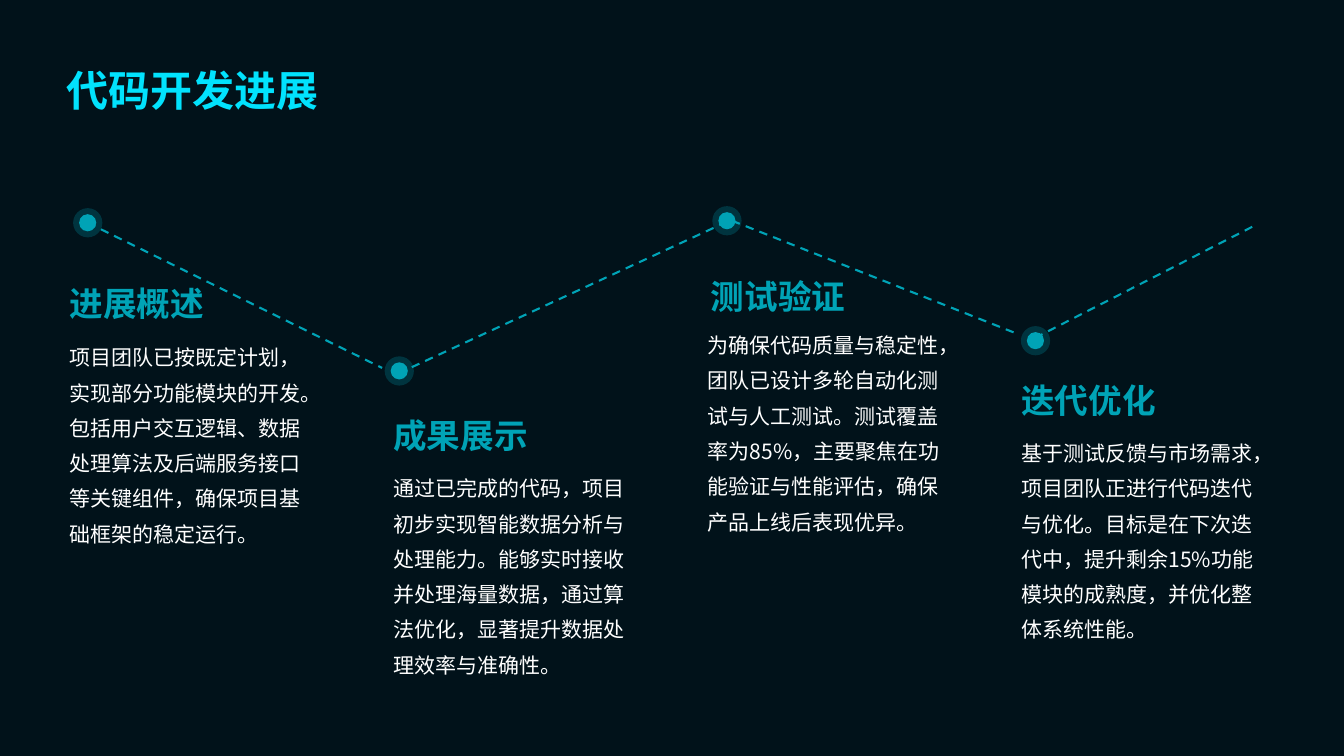
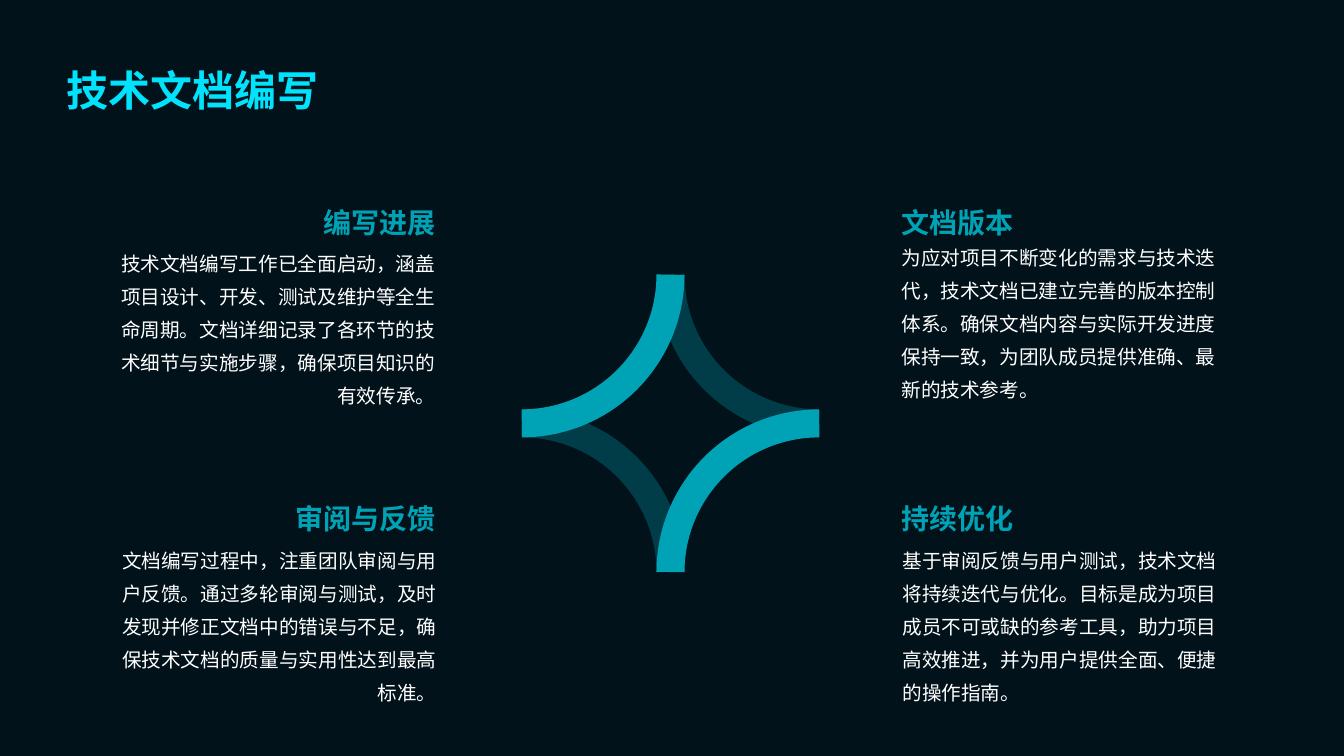
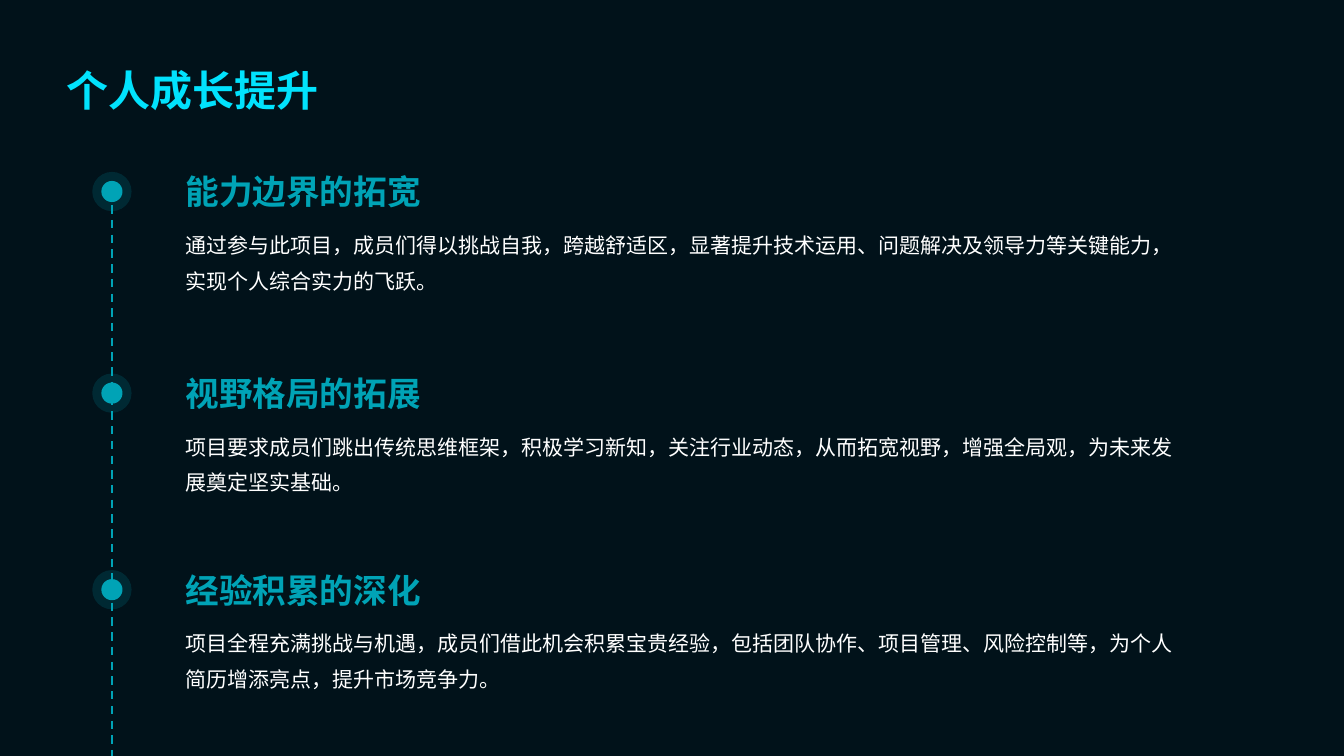
from lxml.etree import SubElement
from pptx import Presentation
from pptx.dml.color import RGBColor
from pptx.enum.dml import MSO_LINE
from pptx.enum.shapes import MSO_CONNECTOR, MSO_SHAPE
from pptx.enum.text import MSO_ANCHOR as ANCHOR, PP_ALIGN as ALIGN
from pptx.oxml.ns import qn
from pptx.util import Inches, Pt

FONT = "Noto Sans CJK SC"
NIGHT, TEAL, CYAN, WHITE = "01121A", "00A3B6", "01E2FD", "FFFFFF"
WIDE_INSETS = (0.14, 0.14, 0.06, 0.14)
SLIM_INSETS = (0.07, 0.04, 0.07, 0.04)
NO_INSETS = (0, 0, 0, 0)


def paint(color_format, hex_color):
    color_format.rgb = RGBColor.from_string(hex_color)


def set_opacity(shape, percent):
    for color in shape._element.spPr.iter(qn("a:srgbClr")):
        SubElement(color, qn("a:alpha"), val=str(percent * 1000))


def add_text(slide, box, text, size, color, spacing, insets, bold=False,
             anchor=ANCHOR.TOP, align=ALIGN.LEFT):
    frame = slide.shapes.add_textbox(*map(Inches, box)).text_frame
    frame.word_wrap = True
    frame.vertical_anchor = anchor
    (frame.margin_left, frame.margin_top,
     frame.margin_right, frame.margin_bottom) = map(Inches, insets)
    paragraph = frame.paragraphs[0]
    paragraph.text = text
    paragraph.alignment = align
    paragraph.line_spacing = spacing
    font = paragraph.font
    font.size, font.bold, font.name = Pt(size), bold, FONT
    paint(font.color, color)
    SubElement(font._rPr, qn("a:ea"), typeface=FONT)


def add_heading(slide, box, text, insets, size=24, spacing=1.2,
                anchor=ANCHOR.BOTTOM, align=ALIGN.LEFT):
    add_text(slide, box, text, size, TEAL, spacing, insets, True, anchor, align)


def add_body(slide, box, text, insets, size=15, align=ALIGN.LEFT):
    add_text(slide, box, text, size, WHITE, 1.4, insets, align=align)


def add_disc(slide, center_x, center_y, diameter, opacity=100):
    disc = slide.shapes.add_shape(
        MSO_SHAPE.OVAL, Inches(center_x - diameter / 2),
        Inches(center_y - diameter / 2), Inches(diameter), Inches(diameter))
    disc.shadow.inherit = False
    disc.fill.solid()
    paint(disc.fill.fore_color, TEAL)
    disc.line.fill.background()
    if opacity < 100:
        set_opacity(disc, opacity)


def add_node(slide, x, y, halo, dot, opacity):
    add_disc(slide, x, y, halo, opacity)
    add_disc(slide, x, y, dot)


def add_dashes(slide, start, end):
    connector = slide.shapes.add_connector(
        MSO_CONNECTOR.STRAIGHT, *map(Inches, start + end))
    connector.line.width = Pt(1.5)
    connector.line.dash_style = MSO_LINE.DASH
    paint(connector.line.color, TEAL)
    SubElement(connector._element.spPr, qn("a:effectLst"))


def add_titled_slide(presentation, title):
    slide = presentation.slides.add_slide(presentation.slide_layouts[6])
    add_text(slide, (0.52, 0.29, 12.29, 1), title, 30, CYAN, 1.4,
             WIDE_INSETS, True, ANCHOR.MIDDLE)
    return slide


def add_milestone(slide, node, heading_at, body_at, heading, body, anchor):
    add_node(slide, *node, 0.29, 0.17, 24)
    add_body(slide, (*body_at, 2.54, 2.72), body, WIDE_INSETS)
    add_heading(slide, (*heading_at, 2.02, 0.77), heading, WIDE_INSETS,
                anchor=anchor)


def build_progress(presentation):
    slide = add_titled_slide(presentation, "代码开发进展")
    milestones = [
        ((0.87, 2.21), (0.55, 2.58), (0.55, 3.18), "进展概述",
         "项目团队已按既定计划，实现部分功能模块的开发。包括用户交互逻辑、数据处理算法及后端服务接口等关键组件，确保项目基础框架的稳定运行。",
         ANCHOR.BOTTOM),
        ((3.96, 3.68), (3.76, 3.89), (3.76, 4.48), "成果展示",
         "通过已完成的代码，项目初步实现智能数据分析与处理能力。能够实时接收并处理海量数据，通过算法优化，显著提升数据处理效率与准确性。",
         ANCHOR.BOTTOM),
        ((7.21, 2.19), (6.91, 2.51), (6.88, 3.06), "测试验证",
         "为确保代码质量与稳定性，团队已设计多轮自动化测试与人工测试。测试覆盖率为85%，主要聚焦在功能验证与性能评估，确保产品上线后表现优异。",
         ANCHOR.BOTTOM),
        ((10.27, 3.38), (9.99, 3.54), (9.99, 4.13), "迭代优化",
         "基于测试反馈与市场需求，项目团队正进行代码迭代与优化。目标是在下次迭代中，提升剩余15%功能模块的成熟度，并优化整体系统性能。",
         ANCHOR.MIDDLE),
    ]
    for milestone in milestones:
        add_milestone(slide, *milestone)
    for start, end in [((0.87, 2.21), (3.79, 3.65)),
                       ((7.21, 2.2), (3.96, 3.7)),
                       ((7.26, 2.19), (10.11, 3.32)),
                       ((12.42, 2.25), (10.27, 3.35))]:
        add_dashes(slide, start, end)


def add_topic(slide, left, top, body_shift, body_gap, heading, body, align):
    add_heading(slide, (left, top, 3.28, 0.54), heading, SLIM_INSETS, 20, 1.5,
                ANCHOR.MIDDLE, align)
    add_body(slide, (left + body_shift, top + body_gap, 3.28, 1.7), body,
             SLIM_INSETS, 14, align)


def add_star(slide, left, top, size):
    for column, row, start, end, opacity in [
            (0, 1, 162, 0, 30), (1, 0, 54, 108, 30),
            (1, 1, 108, 162, 100), (0, 0, 0, 54, 100)]:
        arc = slide.shapes.add_shape(
            MSO_SHAPE.ARC, Inches(left + column * size),
            Inches(top + row * size), Inches(size), Inches(size))
        arc.shadow.inherit = False
        arc.adjustments[0], arc.adjustments[1] = start, end
        arc.fill.background()
        arc.line.width = Pt(20)
        paint(arc.line.color, TEAL)
        if opacity < 100:
            set_opacity(arc, opacity)


def add_thumb(slide, left, top):
    hand = [(0.26, 0), (0.28, 0), (0.28, 0.07), (0.36, 0.24), (0.36, 0.43),
            (0.35, 0.46), (0.31, 0.48), (0.12, 0.48), (0.08, 0.47),
            (0.05, 0.43), (0, 0.29), (0, 0.24), (0.01, 0.21), (0.05, 0.19),
            (0.21, 0.19), (0.21, 0.05), (0.22, 0.01)]
    cuff = [(0.4, 0.24), (0.47, 0.24), (0.47, 0.48), (0.4, 0.48)]
    builder = slide.shapes.build_freeform(*hand[0], scale=Inches(1))
    builder.add_line_segments(hand[1:], close=True)
    builder.move_to(*cuff[0])
    builder.add_line_segments(cuff[1:], close=True)
    thumb = builder.convert_to_shape(Inches(left), Inches(top))
    thumb.shadow.inherit = False
    thumb.fill.solid()
    paint(thumb.fill.fore_color, TEAL)
    thumb.line.fill.background()


def build_documents(presentation):
    slide = add_titled_slide(presentation, "技术文档编写")
    topics = [
        (1.11, 1.85, 0, 0.52, "编写进展",
         "技术文档编写工作已全面启动，涵盖项目设计、开发、测试及维护等全生命周期。文档详细记录了各环节的技术细节与实施步骤，确保项目知识的有效传承。",
         ALIGN.RIGHT),
        (1.11, 4.79, 0.01, 0.52, "审阅与反馈",
         "文档编写过程中，注重团队审阅与用户反馈。通过多轮审阅与测试，及时发现并修正文档中的错误与不足，确保技术文档的质量与实用性达到最高标准。",
         ALIGN.RIGHT),
        (8.87, 1.85, 0, 0.46, "文档版本",
         "为应对项目不断变化的需求与技术迭代，技术文档已建立完善的版本控制体系。确保文档内容与实际开发进度保持一致，为团队成员提供准确、最新的技术参考。",
         ALIGN.LEFT),
        (8.87, 4.79, 0.01, 0.52, "持续优化",
         "基于审阅反馈与用户测试，技术文档将持续迭代与优化。目标是成为项目成员不可或缺的参考工具，助力项目高效推进，并为用户提供全面、便捷的操作指南。",
         ALIGN.LEFT),
    ]
    for topic in topics:
        add_topic(slide, *topic)
    add_star(slide, 3.7, 1.25, 2.95)
    add_thumb(slide, 6.43, 3.98)


def add_growth_step(slide, left, top, heading, body):
    add_heading(slide, (left + 0.92, top, 9.78, 0.61), heading, NO_INSETS)
    add_body(slide, (left + 0.92, top + 0.72, 9.81, 0.84), body, NO_INSETS)
    add_node(slide, left + 0.19, top + 0.41, 0.39, 0.21, 16)


def build_growth(presentation):
    slide = add_titled_slide(presentation, "个人成长提升")
    steps = [
        (1.49, "能力边界的拓宽",
         "通过参与此项目，成员们得以挑战自我，跨越舒适区，显著提升技术运用、问题解决及领导力等关键能力，实现个人综合实力的飞跃。"),
        (3.49, "视野格局的拓展",
         "项目要求成员们跳出传统思维框架，积极学习新知，关注行业动态，从而拓宽视野，增强全局观，为未来发展奠定坚实基础。"),
        (5.44, "经验积累的深化",
         "项目全程充满挑战与机遇，成员们借此机会积累宝贵经验，包括团队协作、项目管理、风险控制等，为个人简历增添亮点，提升市场竞争力。"),
    ]
    for step in steps:
        add_growth_step(slide, 0.92, *step)
    add_dashes(slide, (1.11, 1.89), (1.11, 7.5))


def main():
    presentation = Presentation()
    presentation.slide_width = Inches(13.33)
    presentation.slide_height = Inches(7.5)
    background = presentation.slide_master.background.fill
    background.solid()
    paint(background.fore_color, NIGHT)
    build_progress(presentation)
    build_documents(presentation)
    build_growth(presentation)
    presentation.save("out.pptx")


if __name__ == "__main__":
    main()
